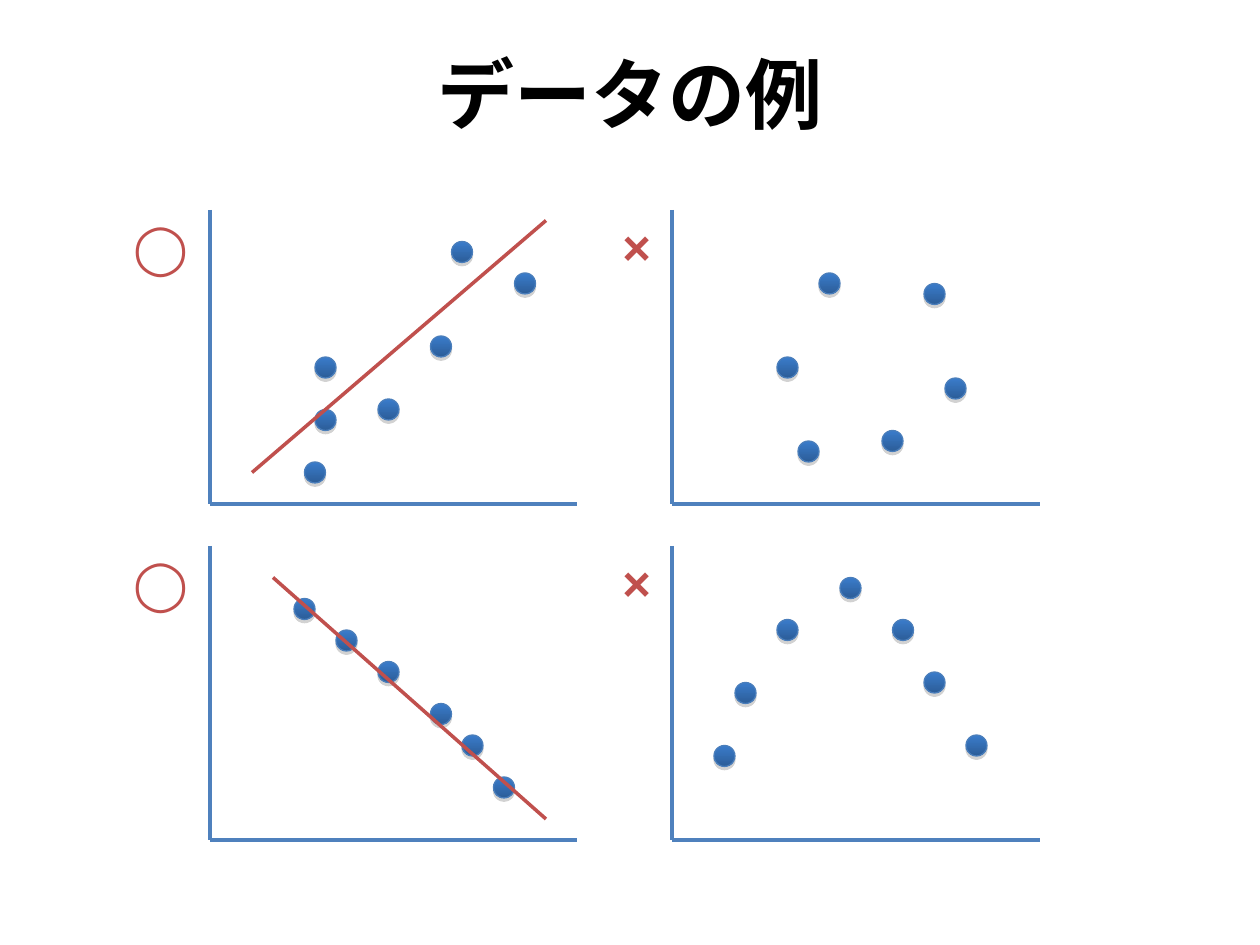
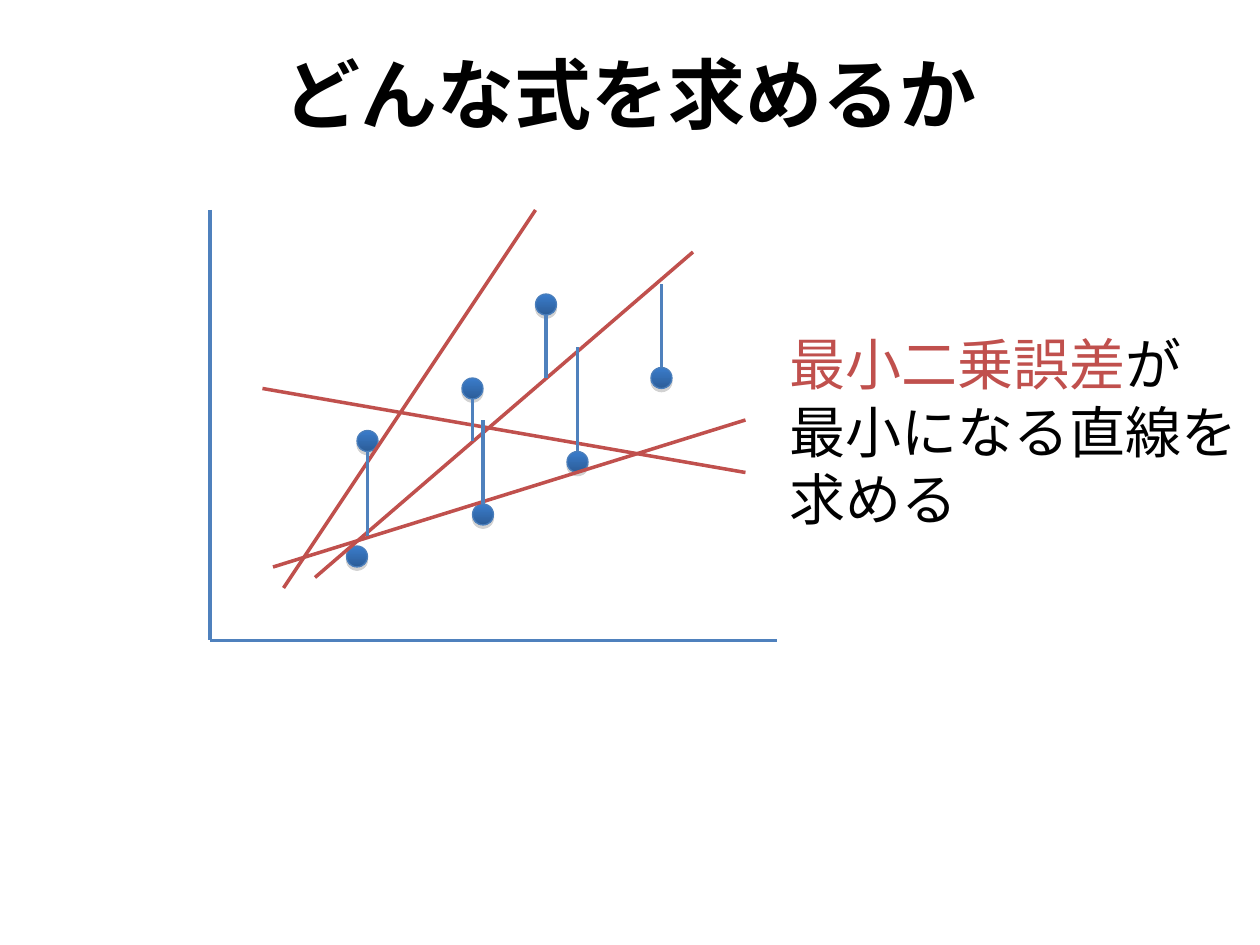
from dataclasses import dataclass
from math import copysign

from lxml.etree import SubElement as Sub
from pptx import Presentation
from pptx.dml.color import RGBColor as Rgb
from pptx.enum.shapes import MSO_CONNECTOR as Link, MSO_SHAPE as Kind
from pptx.enum.text import MSO_ANCHOR as Anchor, MSO_AUTO_SIZE as Fit, PP_ALIGN as Align
from pptx.oxml.ns import qn
from pptx.util import Cm, Pt


@dataclass(frozen=True)
class Theme:
    ink: str = "000000"
    axis: str = "4F81BD"
    accent: str = "C0504D"
    top: str = "3A7CCB"
    base: str = "2C5D98"
    rim: str = "4A7EBB"
    shade: str = "808080"
    head_font: str = "DejaVu Sans"
    body_font: str = "Arial"
    head_size: int = 44
    mark_size: int = 28
    note_size: int = 32
    stroke: float = 2
    rim_width: float = 0.75


THEME = Theme()
GRID = 2.54 / 12  # every plot sits on a grid of twelve cells to the inch

# Each mark: its text, its distance left of the axis, its width.
YES = ("◯", 8.5, 7.56)
NO = ("×", 5.9, 5.04)

# Panels of the first slide: mark, dot centres, trend lines (in grid cells).
PANELS = [
    (YES, [(10, 25), (11, 15), (22, 13), (11, 20), (30, 7), (24, 4), (17, 19)],
     [(4, 25, 32, 1)]),
    (NO, [(13, 23), (11, 15), (27, 17), (15, 7), (25, 8), (21, 22)], []),
    (YES, [(13, 9), (25, 19), (22, 16), (9, 6), (28, 23), (17, 12)],
     [(6, 3, 32, 26)]),
    (NO, [(7, 14), (5, 20), (11, 8), (17, 4), (22, 8), (25, 13), (29, 19)], []),
]

# Dots of the second slide: x, y, and where the error bar ends.
ERRORS = [(14, 33, 32), (25, 17, 22), (35, 24, 13), (15, 22, 31),
          (43, 16, 7), (32, 9, 16), (26, 29, 20)]
TRENDS = [(10, 35, 46, 4), (7, 36, 31, 0), (6, 34, 51, 20), (5, 17, 51, 25)]


def cell(count):
    return Cm(count * GRID)


def style(run, font, size, color, bold=False):
    run.font.name, run.font.size, run.font.bold = font, Pt(size), bold
    run.font.color.rgb = Rgb.from_string(color)
    props = run._r.get_or_add_rPr()
    props.set("lang", "ja-JP")
    Sub(props, qn("a:ea"), typeface=font)


def add_title(deck, text):
    slide = deck.slides.add_slide(deck.slide_layouts[5])
    title = slide.shapes.title
    title.left, title.top = Cm(1.27), Cm(0.76)
    title.width, title.height = Cm(22.86), Cm(2.21)
    frame = title.text_frame
    frame.text = text
    frame.auto_size, frame.vertical_anchor = Fit.NONE, Anchor.MIDDLE
    frame.paragraphs[0].alignment = Align.CENTER
    style(frame.paragraphs[0].runs[0], THEME.head_font, THEME.head_size, THEME.ink, True)
    return slide


class Plot:
    """A pair of axes whose parts are placed in grid cells from its top left."""

    def __init__(self, slide, left, top, width, height):
        self.shapes, self.left, self.top = slide.shapes, left, top
        self.line(0, 0, 0, height, THEME.axis)
        self.line(0, height, width, height, THEME.axis)

    def line(self, x1, y1, x2, y2, color):
        line = self.shapes.add_connector(
            Link.STRAIGHT, cell(self.left + x1), cell(self.top + y1),
            cell(self.left + x2), cell(self.top + y2))
        line.line.color.rgb = Rgb.from_string(color)
        line.line.width = Pt(THEME.stroke)
        Sub(line._element.spPr, qn("a:effectLst"))

    def dot(self, x, y):
        dot = self.shapes.add_shape(
            Kind.OVAL, cell(self.left + x - 1), cell(self.top + y - 1), cell(2), cell(2))
        dot.fill.gradient()
        dot.fill.gradient_angle = 270
        for stop, color, place in zip(dot.fill.gradient_stops, (THEME.top, THEME.base), (0, 1)):
            stop.color.rgb = Rgb.from_string(color)
            stop.position = place
        dot.line.color.rgb = Rgb.from_string(THEME.rim)
        dot.line.width = Pt(THEME.rim_width)
        dot.shadow.inherit = False
        effects = dot._element.spPr.find(qn("a:effectLst"))
        shadow = Sub(effects, qn("a:outerShdw"), blurRad="0", dist=str(Pt(1.8)),
                     dir="5400000", rotWithShape="0")
        tint = Sub(shadow, qn("a:srgbClr"), val=THEME.shade)
        Sub(tint, qn("a:alpha"), val="35000")

    def text(self, x, y, width, height, text):
        box = self.shapes.add_textbox(
            cell(self.left + x), cell(self.top + y), cell(width), cell(height))
        frame = box.text_frame
        frame.text = text
        frame.word_wrap, frame.auto_size = False, Fit.SHAPE_TO_FIT_TEXT
        return frame

    def mark(self, sign, gap, width):
        frame = self.text(-gap, 0, width, 6.84, sign)
        style(frame.paragraphs[0].runs[0], THEME.body_font, THEME.mark_size, THEME.accent, True)


def add_samples(deck):
    slide = add_title(deck, "データの例")
    for index, (mark, dots, trends) in enumerate(PANELS):
        row, col = divmod(index, 2)
        plot = Plot(slide, 20 + 44 * col, 20 + 32 * row, 35, 28)
        for x, y in dots:
            plot.dot(x, y)
        plot.mark(*mark)
        for trend in trends:
            plot.line(*trend, THEME.accent)


def add_fit(deck):
    slide = add_title(deck, "どんな式を求めるか")
    plot = Plot(slide, 20, 20, 54, 41)
    for x, y, _ in ERRORS:
        plot.dot(x, y)
    for trend in TRENDS:
        plot.line(*trend, THEME.accent)
    for x, y, end in ERRORS:
        plot.line(x, y + copysign(1, end - y), x, end, THEME.axis)

    frame = plot.text(54, 10.84, 45.12, 20.4, "\n最小になる直線を\n求める")
    first = frame.paragraphs[0]
    for part in ("最小二乗誤差", "が"):
        first.add_run().text = part
    for para in frame.paragraphs:
        for run in para.runs:
            style(run, THEME.body_font, THEME.note_size, THEME.ink)
    first.runs[0].font.color.rgb = Rgb.from_string(THEME.accent)


def main():
    deck = Presentation()
    deck.slide_width, deck.slide_height = Cm(25.4), Cm(19.05)
    add_samples(deck)
    add_fit(deck)
    deck.save("out.pptx")


if __name__ == "__main__":
    main()
